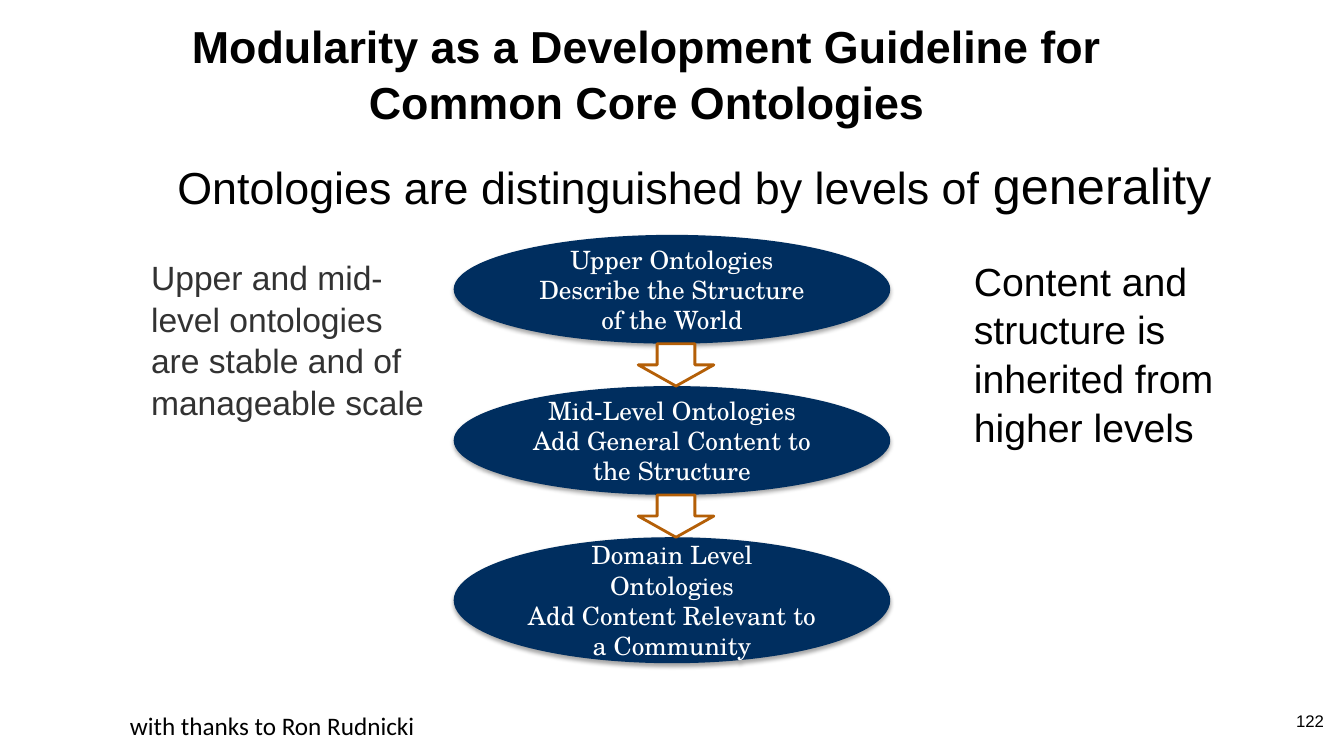
"""Builds the slide on modularity in the Common Core Ontologies."""
from dataclasses import dataclass

from lxml import etree
from pptx import Presentation
from pptx.dml.color import RGBColor
from pptx.enum.shapes import MSO_SHAPE
from pptx.enum.text import MSO_ANCHOR, PP_ALIGN
from pptx.oxml.ns import qn
from pptx.util import Inches, Pt

ELLIPSE, DOWN_ARROW = MSO_SHAPE.OVAL, MSO_SHAPE.DOWN_ARROW
LEFT, CENTER, RIGHT = PP_ALIGN.LEFT, PP_ALIGN.CENTER, PP_ALIGN.RIGHT
TOP, MIDDLE = MSO_ANCHOR.TOP, MSO_ANCHOR.MIDDLE


@dataclass(frozen=True)
class Theme:
    """Colours, fonts and type sizes of the slide."""
    black: str = "000000"
    gray: str = "323232"
    white: str = "FFFFFF"
    navy: str = "002E5F"
    orange: str = "B45F07"
    sans: str = "Arial"
    serif: str = "TeX Gyre Schola"
    footer_font: str = "Calibri"
    title: int = 32
    emphasis: int = 36
    right_note: int = 28
    left_note: int = 24
    label: int = 18
    number: int = 12


class SlideBuilder:
    """Draws styled elements on the current slide."""

    def __init__(self, page, theme):
        self.page = page
        self.theme = theme

    def add_span(self, para, text, size, font=None, color=None, bold=False):
        """Adds one run to a paragraph."""
        span = para.add_run()
        span.text = text
        span.font.size = Pt(size)
        span.font.name = font or self.theme.sans
        span.font.bold = bold
        span.font.color.rgb = RGBColor.from_string(color or self.theme.black)

    def text(self, place, spans, align=LEFT, anchor=TOP, indent=0, spacing=None,
             wrap=True, **style):
        """Adds a one-paragraph text box from (text, size) pairs."""
        box = self.page.shapes.add_textbox(*map(Inches, place))
        frame = box.text_frame
        frame.word_wrap = wrap
        frame.vertical_anchor = anchor
        para = frame.paragraphs[0]
        para.alignment = align
        if indent:
            para._p.get_or_add_pPr().set("marL", str(Inches(indent)))
        if spacing:
            para.line_spacing = spacing
        for text, size in spans:
            self.add_span(para, text, size, **style)

    def shape(self, kind, place, fill):
        """Adds a filled preset shape without line or shadow."""
        shape = self.page.shapes.add_shape(kind, *map(Inches, place))
        shape.shadow.inherit = False
        shape.fill.solid()
        shape.fill.fore_color.rgb = RGBColor.from_string(fill)
        shape.line.fill.background()
        return shape

    def level(self, place, lines):
        """Adds an ellipse with a soft shadow and centred lines."""
        theme = self.theme
        ellipse = self.shape(ELLIPSE, place, theme.navy)
        effects = ellipse._element.spPr.find(qn("a:effectLst"))
        shadow = etree.SubElement(
            effects, qn("a:outerShdw"), blurRad=str(Pt(3.1)), dist=str(Pt(1.8)),
            dir="5400000", rotWithShape="0")
        color = etree.SubElement(shadow, qn("a:srgbClr"), val=theme.black)
        etree.SubElement(color, qn("a:alpha"), val="35000")
        frame = ellipse.text_frame
        frame.word_wrap = True
        frame.vertical_anchor = MIDDLE
        for index, line in enumerate(lines):
            para = frame.add_paragraph() if index else frame.paragraphs[0]
            para.alignment = CENTER
            self.add_span(para, line, theme.label, theme.serif, theme.white)

    def arrow(self, place):
        """Adds an outlined down arrow."""
        arrow = self.shape(DOWN_ARROW, place, self.theme.white)
        arrow.line.color.rgb = RGBColor.from_string(self.theme.orange)
        arrow.line.width = Pt(2)


def main():
    """Builds and saves the deck."""
    deck = Presentation()
    deck.slide_width, deck.slide_height = Inches(13.33), Inches(7.5)
    theme = Theme()
    slide = SlideBuilder(deck.slides.add_slide(deck.slide_layouts[6]), theme)

    title = "Modularity as a Development Guideline for Common Core Ontologies"
    slide.text((1.57, 0.09, 9.69, 1.25), [(title, theme.title)], CENTER, MIDDLE,
               spacing=1.04, bold=True)
    slide.text((1.37, 1.36, 10.85, 0.43),
               [("Ontologies are distinguished by levels of ", theme.title),
                ("generality", theme.emphasis)], indent=0.29, spacing=1.2)
    slide.text((9.17, 2.48, 3.15, 1.18),
               [("Content and structure is inherited from higher levels",
                 theme.right_note)], indent=0.39, spacing=1.04)

    levels = [
        (1.08, ["Upper Ontologies", "Describe the Structure of the World"]),
        (1.08, ["Mid-Level Ontologies", "Add General Content to the Structure"]),
        (1.25, ["Domain Level Ontologies", "Add Content Relevant to a Community"]),
    ]
    first_top, step = 2.33, 1.5
    for index, (height, lines) in enumerate(levels):
        slide.level((4.5, first_top + index * step, 4.33, height), lines)
    for index, (height, _) in enumerate(levels[:-1]):
        slide.arrow((6.33, first_top + index * step + height, 0.75, step - height))

    slide.text((1.02, 2.48, 3.4, 1.27),
               [("Upper and mid-level ontologies are stable and of manageable scale",
                 theme.left_note)], indent=0.38, spacing=1.04, color=theme.gray)
    slide.text((10.12, 7, 3.11, 0.4), [("122", theme.number)], RIGHT)
    slide.text((1.19, 7, 3.06, 0.4), [("with thanks to Ron Rudnicki", theme.label)],
               wrap=False, font=theme.footer_font)
    deck.save("out.pptx")


if __name__ == "__main__":
    main()
